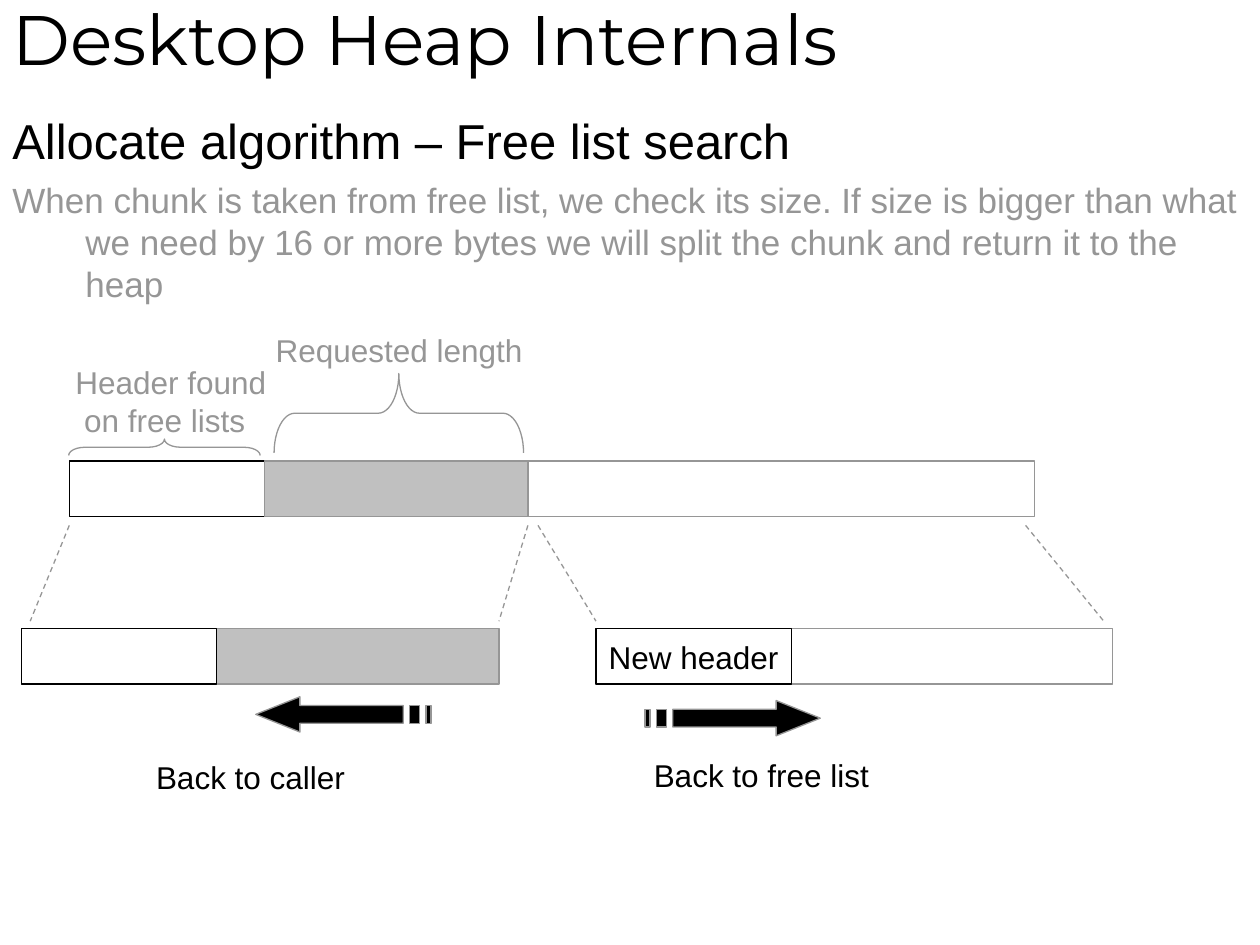
from dataclasses import dataclass

from lxml.etree import SubElement
from pptx import Presentation
from pptx.dml.color import RGBColor as RGB
from pptx.enum.dml import MSO_LINE_DASH_STYLE as DASH
from pptx.enum.shapes import MSO_CONNECTOR as CONN, MSO_SHAPE as SHAPE
from pptx.enum.text import MSO_ANCHOR as ANCHOR, PP_ALIGN as ALIGN
from pptx.oxml.ns import qn
from pptx.util import Inches, Pt


@dataclass(frozen=True)
class Theme:
    """Colours, fonts and sizes of the slide."""
    black: RGB = RGB(0, 0, 0)
    white: RGB = RGB(255, 255, 255)
    grey: RGB = RGB(0x96, 0x96, 0x96)
    used: RGB = RGB(0xC0, 0xC0, 0xC0)
    title_font: str = "Montserrat"
    font: str = "Arial"
    title: int = 40
    heading: int = 28
    body: int = 20
    label: int = 18
    line: float = 0.75


class HeapSlide:
    """Draws styled elements on one slide."""

    def __init__(self, prs, theme):
        """Add a title-only slide."""
        self.t = theme
        self.s = prs.slides.add_slide(prs.slide_layouts[5])

    def style(self, p, size, color, font=None):
        """Format the runs of a paragraph."""
        for r in p.runs:
            r.font.size = Pt(size)
            r.font.name = font or self.t.font
            r.font.color.rgb = color

    def indent(self, p, left, first=0):
        """Set the left and first-line indents."""
        pPr = p._p.get_or_add_pPr()
        pPr.set("marL", str(Inches(left)))
        pPr.set("indent", str(Inches(first)))

    def outline(self, sp, fill, line):
        """Apply fill and line without shadow."""
        sp.shadow.inherit = False
        if fill is None:
            sp.fill.background()
        else:
            sp.fill.solid()
            sp.fill.fore_color.rgb = fill
        sp.line.color.rgb = line
        sp.line.width = Pt(self.t.line)

    def title(self, text):
        """Place and format the title."""
        sp = self.s.shapes.title
        sp.left, sp.top, sp.width, sp.height = map(Inches, (0, -0.08, 10, 0.75))
        tf = sp.text_frame
        tf.text = text
        tf.vertical_anchor = ANCHOR.MIDDLE
        tf.paragraphs[0].alignment = ALIGN.LEFT
        self.style(tf.paragraphs[0], self.t.title, self.t.black, self.t.title_font)

    def text(self, box, text, wrap=False):
        """Add a text box and return its paragraphs."""
        tf = self.s.shapes.add_textbox(*map(Inches, box)).text_frame
        tf.text = text
        tf.word_wrap = wrap
        return tf.paragraphs

    def body(self, heading, text):
        """Add the heading and its explanation."""
        ps = self.text((0, 0.83, 10, 1.7), f"{heading}\n{text}", wrap=True)
        for p in ps:
            self.indent(p, 0.58, -0.58)
        ps[1].space_before = Pt(5)
        self.style(ps[0], self.t.heading, self.t.black)
        self.style(ps[1], self.t.body, self.t.grey)

    def label(self, box, text, color, wrap=False):
        """Add a label and return its paragraphs."""
        ps = self.text(box, text, wrap)
        for p in ps:
            self.style(p, self.t.label, color)
        return ps

    def block(self, left, top, width, fill, line, text=""):
        """Add one part of a memory chunk."""
        sp = self.s.shapes.add_shape(
            SHAPE.RECTANGLE, *map(Inches, (left, top, width, 0.44)))
        self.outline(sp, fill, line)
        if text:
            tf = sp.text_frame
            tf.text = text
            tf.word_wrap = False
            tf.vertical_anchor = ANCHOR.MIDDLE
            tf.paragraphs[0].alignment = ALIGN.CENTER
            self.style(tf.paragraphs[0], self.t.label, self.t.black)

    def brace(self, left, top, depth, span, curve):
        """Add a brace that points up."""
        sp = self.s.shapes.add_shape(
            SHAPE.LEFT_BRACE, *map(Inches, (left, top, depth, span)))
        sp.rotation = 90
        sp.adjustments[0] = curve
        self.outline(sp, None, self.t.grey)

    def arrow(self, tail, middle, way):
        """Add a striped arrow, with way 1 to the right and -1 to the left."""
        def bar(start, end):
            return [(start, -0.07), (end, -0.07), (end, 0.07), (start, 0.07)]

        shaft = [(0.22, -0.07), (1.04, -0.07), (1.04, -0.14), (1.39, 0),
                 (1.04, 0.14), (1.04, 0.07), (0.22, 0.07)]
        fb = None
        for outline in (shaft, bar(0, 0.04), bar(0.09, 0.17)):
            pts = [(Inches(tail + way * x), Inches(middle + y)) for x, y in outline]
            if fb is None:
                fb = self.s.shapes.build_freeform(*pts[0])
            else:
                fb.move_to(*pts[0])
            fb.add_line_segments(pts[1:], close=True)
        self.outline(fb.convert_to_shape(), self.t.black, self.t.grey)

    def guide(self, x1, x2, top=4.17, bottom=4.93):
        """Add a dashed line between the two rows."""
        c = self.s.shapes.add_connector(
            CONN.STRAIGHT, *map(Inches, (x1, top, x2, bottom)))
        c.line.color.rgb = self.t.grey
        c.line.width = Pt(self.t.line)
        c.line.dash_style = DASH.DASH
        SubElement(c._element.spPr, qn("a:effectLst"))


def main():
    """Build and save the slide."""
    prs = Presentation()
    prs.slide_width, prs.slide_height = Inches(10), Inches(7.5)
    t = Theme()
    s = HeapSlide(prs, t)
    s.title("Desktop Heap Internals")
    s.body("Allocate algorithm – Free list search",
           "When chunk is taken from free list, we check its size. If size is "
           "bigger than what we need by 16 or more bytes we will split the "
           "chunk and return it to the heap")

    whole, split, header = 3.66, 4.99, 1.55
    s.block(0.55, whole, 7.66, t.white, t.grey)
    s.block(0.55, whole, header, t.white, t.black)
    s.block(0.55 + header, whole, 2.09, t.used, t.grey)
    s.block(0.17, split, 3.79, t.used, t.grey)
    s.block(0.17, split, header, t.white, t.black)
    s.block(4.73, split, 4.1, t.white, t.grey)
    s.block(4.73, split, header, t.white, t.black, "New header")

    s.brace(1.24, 2.79, 0.13, 1.52, 1)
    s.brace(2.85, 2.29, 0.63, 1.98, 0.26)
    ps = s.label((0.5, 2.83, 1.8, 0.7), "Header found\non free lists", t.grey,
                 wrap=True)
    s.indent(ps[1], 0.07)
    s.label((2.09, 2.58, 2.16, 0.4), "Requested length", t.grey)

    s.arrow(5.12, 5.7, 1)
    s.arrow(3.42, 5.67, -1)
    s.label((1.14, 5.97, 1.7, 0.4), "Back to caller", t.black)
    s.label((5.09, 5.95, 1.91, 0.4), "Back to free list", t.black)

    for x1, x2 in ((0.55, 0.24), (4.19, 3.96), (4.27, 4.73), (8.14, 8.76)):
        s.guide(x1, x2)
    prs.save("out.pptx")


if __name__ == "__main__":
    main()
